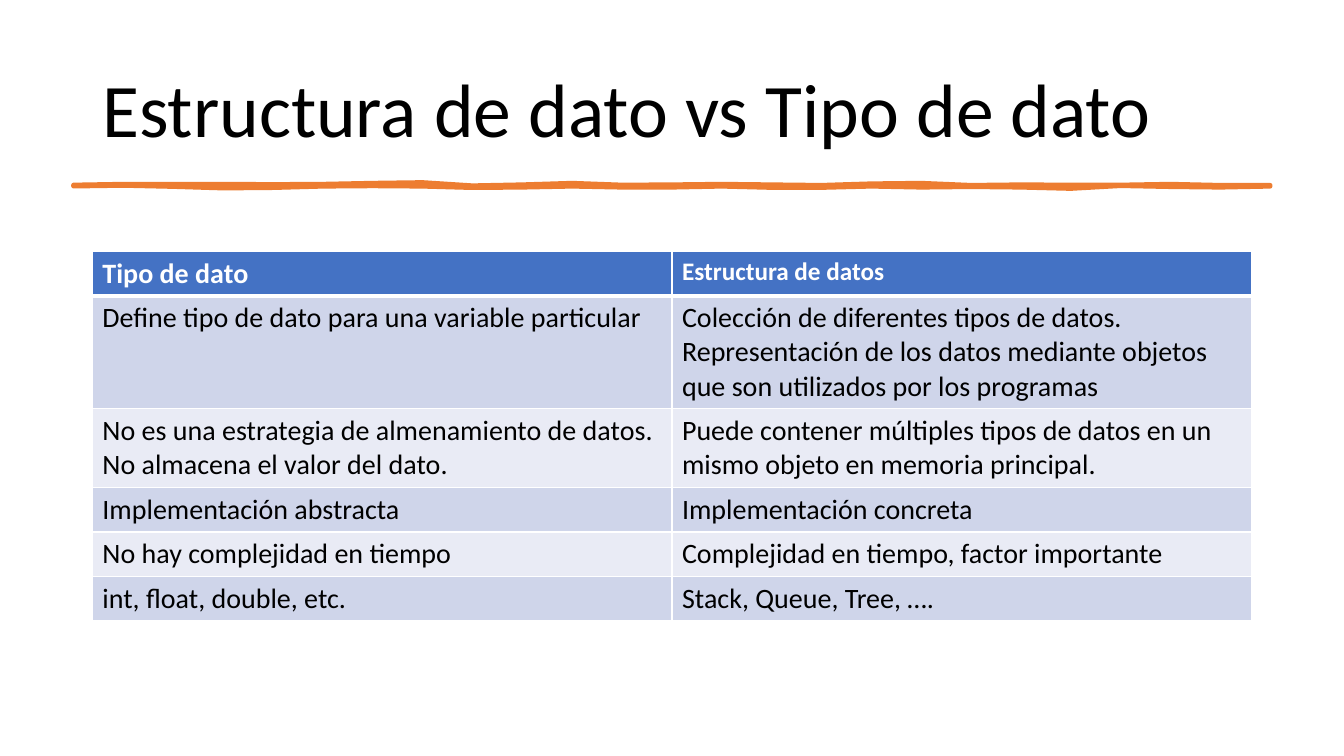
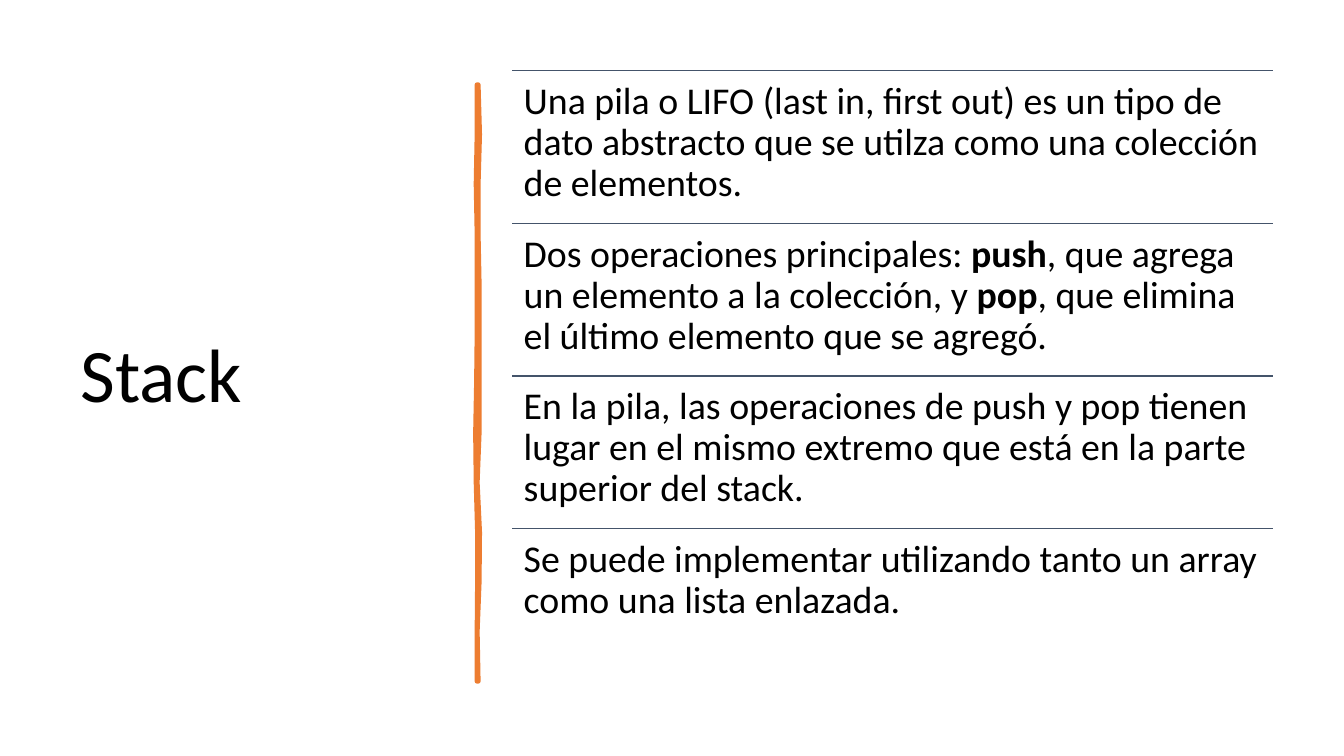
from lxml import etree
from pptx import Presentation
from pptx.dml.color import RGBColor
from pptx.enum.shapes import MSO_CONNECTOR
from pptx.enum.text import MSO_ANCHOR
from pptx.oxml.ns import qn
from pptx.util import Pt

FONT = "Calibri"
BLACK = RGBColor(0x00, 0x00, 0x00)
WHITE = RGBColor(0xFF, 0xFF, 0xFF)
ORANGE = RGBColor(0xED, 0x7D, 0x31)
BLUE = RGBColor(0x44, 0x72, 0xC4)
SLATE = RGBColor(0x44, 0x54, 0x6A)
BANDS = (RGBColor(0xCF, 0xD5, 0xEA), RGBColor(0xE9, 0xEB, 0xF5))

TITLE_SIZE = 54
TABLE_SIZE = 20
ITEM_SIZE = 27
LINE_SPACING = 0.9

# Edge offsets of the brush strokes, in points from their centre line
WIDE_EDGES = (
    (-0.3, -0.9, -0.9, -0.9, -0.7, -0.9, -1.6, -2.1, 0.2, -0.5, -1.6, -0.3, -0.5,
     -0.9, -0.5, -0.1, -1.2, -1.6, -0.1, -0.5, -0.3, -0.3, -0.9, -0.1, -0.1),
    (0.6, 0.1, 0.9, 2, 1.7, 0.7, 0.4, 0.7, 1.7, 1.4, 0.7, 1.4, 1.4,
     0.7, 1.6, 1.6, 0.7, 1.4, 1, 1.4, 2.3, 0.3, 1, 1.4, 0.7),
)
TALL_EDGES = (
    (-0.5, -0.5, -1.2, -0.5, -0.5, -0.5, -0.9, -1.6, -1.2, -0.2, -0.2, -0.5, -0.5),
    (0.5, 1.5, 0.5, 0.5, 1.2, 1.2, 1.2, 1.2, -0.2, 1.5, 1.2, -0.2, 0.5),
)

COMPARISON = [
    ("Tipo de dato", "Estructura de datos"),
    ("Define tipo de dato para una variable particular",
     "Colección de diferentes tipos de datos. Representación de los datos "
     "mediante objetos que son utilizados por los programas"),
    ("No es una estrategia de almenamiento de datos. No almacena el valor del dato.",
     "Puede contener múltiples tipos de datos en un mismo objeto en memoria principal."),
    ("Implementación abstracta", "Implementación concreta"),
    ("No hay complejidad en tiempo", "Complejidad en tiempo, factor importante"),
    ("int, float, double, etc.", "Stack, Queue, Tree, …."),
]
ROW_HEIGHTS = (31.75, 80.5, 56.5, 31.8, 31.8, 31.8)

# Asterisks enclose the bold words
STACK_ITEMS = [
    "Una pila o LIFO (last in, first out) es un tipo de dato abstracto que se "
    "utilza como una colección de elementos.",
    "Dos operaciones principales: *push*, que agrega un elemento a la colección, "
    "y *pop*, que elimina el último elemento que se agregó.",
    "En la pila, las operaciones de push y pop tienen lugar en el mismo extremo "
    "que está en la parte superior del stack.",
    "Se puede implementar utilizando tanto un array como una lista enlazada.",
]


def style_span(span, size, color=BLACK, bold=False):
    span.font.name = FONT
    span.font.size = Pt(size)
    span.font.color.rgb = color
    span.font.bold = bold


def add_text(page, text, left, top, width, height, size, anchor, inset=None):
    box = page.shapes.add_textbox(Pt(left), Pt(top), Pt(width), Pt(height))
    frame = box.text_frame
    frame.word_wrap = True
    frame.vertical_anchor = anchor
    if inset is not None:
        frame.margin_left = frame.margin_right = Pt(inset)
        frame.margin_top = frame.margin_bottom = Pt(inset)
    para = frame.paragraphs[0]
    para.line_spacing = LINE_SPACING
    for index, part in enumerate(text.split("*")):
        span = para.add_run()
        span.text = part
        style_span(span, size, bold=index % 2 == 1)


def add_title(page, text, left, top, width, height):
    add_text(page, text, left, top, width, height, TITLE_SIZE, MSO_ANCHOR.MIDDLE)


def add_brush_stroke(page, left, top, length, edges, vertical=False):
    step = length / (len(edges[0]) - 1)
    first, second = ([(index * step, offset) for index, offset in enumerate(edge)]
                     for edge in edges)
    outline = []
    for along, across in first + second[::-1]:
        x, y = (across, along) if vertical else (along, across)
        outline.append((Pt(left + x), Pt(top + y)))
    builder = page.shapes.build_freeform(*outline[0])
    builder.add_line_segments(outline[1:], close=True)
    stroke = builder.convert_to_shape()
    stroke.shadow.inherit = False
    stroke.fill.solid()
    stroke.fill.fore_color.rgb = ORANGE
    stroke.line.color.rgb = ORANGE
    stroke.line.width = Pt(3.25)


def add_rule(page, left, top, width):
    rule = page.shapes.add_connector(
        MSO_CONNECTOR.STRAIGHT, Pt(left), Pt(top), Pt(left + width), Pt(top))
    rule.line.color.rgb = SLATE
    rule.line.width = Pt(1)
    etree.SubElement(rule._element.spPr, qn("a:effectLst"))


def set_border(cell, side, width):
    """Draw a white border; side is one of lnL, lnR, lnT and lnB, in that order."""
    properties = cell._tc.get_or_add_tcPr()
    border = etree.Element(qn(f"a:{side}"), w=str(Pt(width)))
    fill = etree.SubElement(border, qn("a:solidFill"))
    etree.SubElement(fill, qn("a:srgbClr"), val=str(WHITE))
    properties.insert(len(properties.findall("*")) - 1, border)


def add_comparison(page, left, top, width):
    rows, columns = len(COMPARISON), len(COMPARISON[0])
    table = page.shapes.add_table(
        rows, columns, Pt(left), Pt(top), Pt(width), Pt(sum(ROW_HEIGHTS))).table
    for row, height in zip(table.rows, ROW_HEIGHTS):
        row.height = Pt(height)
    for row, texts in enumerate(COMPARISON):
        header = row == 0
        for column, text in enumerate(texts):
            cell = table.cell(row, column)
            cell.fill.solid()
            cell.fill.fore_color.rgb = BLUE if header else BANDS[(row - 1) % 2]
            for side in ("lnL", "lnR", "lnT", "lnB"):
                under_header = (row, side) in ((0, "lnB"), (1, "lnT"))
                set_border(cell, side, 3 if under_header else 1)
            cell.text_frame.text = text
            size = 18 if header and column == 1 else TABLE_SIZE
            style_span(cell.text_frame.paragraphs[0].runs[0], size,
                       WHITE if header else BLACK, header)


def add_ruled_list(page, items, left, top, width, pitch):
    for index, item in enumerate(items):
        item_top = top + index * pitch
        add_rule(page, left, item_top, width)
        add_text(page, item, left, item_top, width, pitch, ITEM_SIZE,
                 MSO_ANCHOR.TOP, inset=8.1)


def build_comparison_page(page):
    add_title(page, "Estructura de dato vs Tipo de dato", 66, 28.75, 828, 104.4)
    add_brush_stroke(page, 52.5, 132.4, 854.8, WIDE_EDGES)
    add_comparison(page, 66, 179.5, 828)


def build_stack_page(page):
    add_title(page, "Stack", 50.4, 50.4, 269.3, 439.2)
    add_brush_stroke(page, 341.2, 60.5, 426.2, TALL_EDGES, vertical=True)
    add_ruled_list(page, STACK_ITEMS, 366, 50.5, 543.3, 109)


def main():
    deck = Presentation()
    deck.slide_width, deck.slide_height = Pt(960), Pt(540)
    blank = deck.slide_layouts[6]
    for build_page in (build_comparison_page, build_stack_page):
        build_page(deck.slides.add_slide(blank))
    deck.save("out.pptx")


if __name__ == "__main__":
    main()
